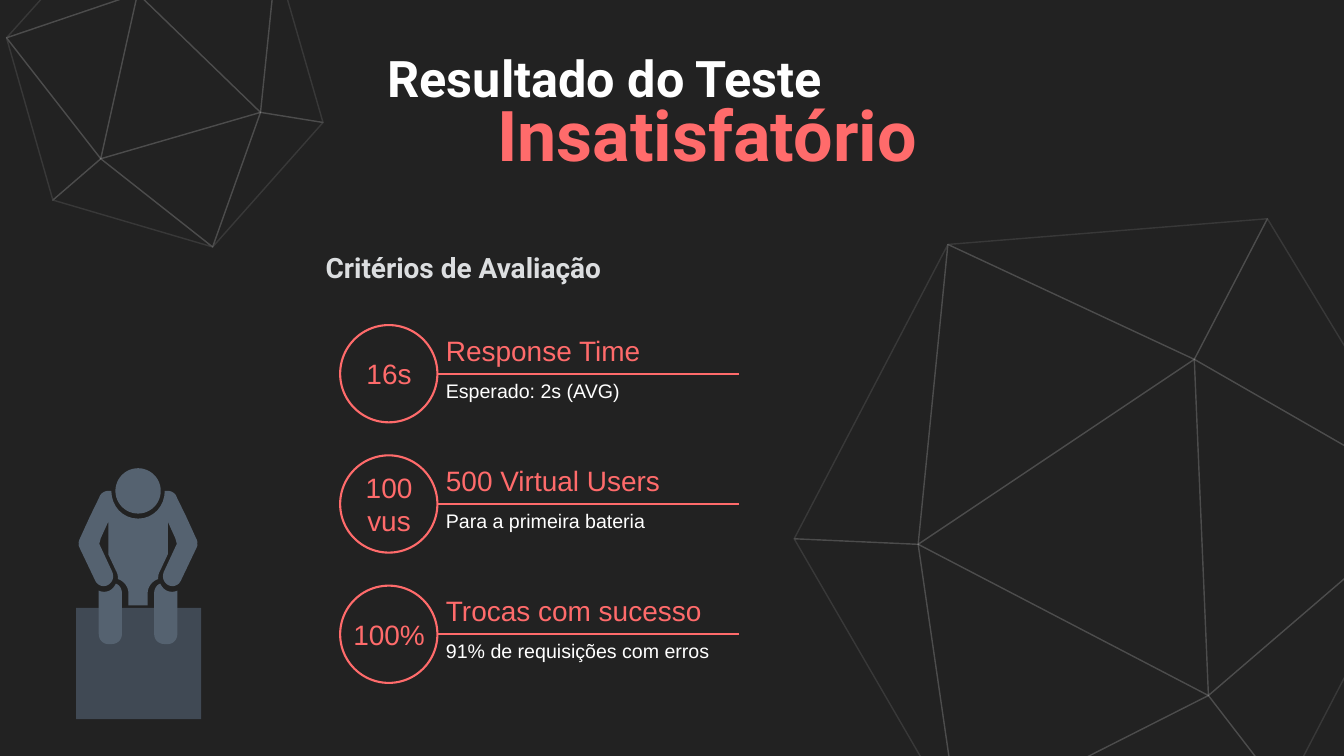
from lxml.etree import SubElement
from pptx import Presentation
from pptx.dml.color import RGBColor
from pptx.enum.shapes import MSO_CONNECTOR, MSO_SHAPE
from pptx.enum.text import MSO_ANCHOR, PP_ALIGN
from pptx.oxml.ns import qn
from pptx.util import Inches, Pt

BACKGROUND = RGBColor(0x22, 0x22, 0x22)
WHITE = RGBColor(0xFF, 0xFF, 0xFF)
CORAL = RGBColor(0xFF, 0x6B, 0x6B)
SILVER = RGBColor(0xDC, 0xDE, 0xE0)
BODY_BLUE = RGBColor(0x55, 0x62, 0x70)
SEAT_BLUE = RGBColor(0x40, 0x49, 0x54)

# Both meshes share these triangles over nine vertices, a to i
TRIANGLES = ("abc", "bda", "bec", "dfa", "egc", "ach", "afh", "cgh", "hig", "hif")
LARGE_MESH = dict(a=(8.22, 9.46), b=(3.26, 11.97), c=(2.46, 6.46), d=(9.72, 11.41),
                  e=(0, 6.35), f=(12.76, 5.56), g=(3.05, 0.51), h=(7.94, 2.79), i=(9.39, 0))
SMALL_MESH = dict(a=(5.04, 3.89), b=(4.09, 6.56), c=(1.87, 4.81), d=(6.28, 4.09),
                  e=(0.92, 5.63), f=(5.35, 0.87), g=(0, 2.41), h=(2.6, 1.53), i=(2.16, 0))

# Right half of the sitting figure, measured from its axis and top.
# Two numbers are a corner, six are a cubic curve.
HALF_TORSO = [
    (0.19, 2.72), (0.19, 2.48), (0.19, 2.35, 0.29, 2.23, 0.4, 2.2),
    (0.4, 2.14, 0.4, 2.1, 0.44, 2.03), (0.59, 1.71), (0.59, 1.06), (0.74, 1.39),
    (0.77, 1.5), (0.51, 2.06), (0.47, 2.17, 0.51, 2.27, 0.6, 2.32),
    (0.7, 2.37, 0.81, 2.32, 0.85, 2.23), (1.16, 1.58),
    (1.17, 1.55, 1.19, 1.52, 1.17, 1.5), (1.19, 1.48, 1.17, 1.45, 1.17, 1.43),
    (0.96, 0.97), (0.77, 0.58), (0.75, 0.51, 0.68, 0.45, 0.59, 0.45),
    (0.53, 0.45), (0.53, 0.75, 0.31, 1, 0, 1)]
LEG = [
    (0.57, 2.43), (0.51, 2.4, 0.47, 2.35, 0.44, 2.29), (0.36, 2.32, 0.32, 2.4, 0.32, 2.48),
    (0.32, 3.29), (0.32, 3.4, 0.4, 3.49, 0.53, 3.49), (0.59, 3.49),
    (0.7, 3.49, 0.78, 3.4, 0.78, 3.29), (0.78, 2.48), (0.78, 2.43),
    (0.71, 2.46, 0.64, 2.46, 0.57, 2.43)]

CRITERIA = [
    ("16s", "Response Time", "Esperado: 2s (AVG)", 4.97),
    ("100\vvus", "500 Virtual Users", "Para a primeira bateria", 4.97),
    ("100%", "Trocas com sucesso", "91% de requisições com erros", 6.05)]


def add_outline(shapes, left, top, points):
    corners = [(Inches(left + x), Inches(top + y)) for x, y in points]
    builder = shapes.build_freeform(*corners[0])
    builder.add_line_segments(corners[1:], close=True)
    shape = builder.convert_to_shape()
    shape.shadow.inherit = False
    return shape


def paint(shape, color):
    shape.shadow.inherit = False
    shape.fill.solid()
    shape.fill.fore_color.rgb = color
    shape.line.fill.background()


def flatten(path, steps=8):
    """Turn corners and cubic curves into a list of points."""
    points = []
    for piece in path:
        if len(piece) == 2:
            points.append(piece)
            continue
        controls = [points[-1], piece[:2], piece[2:4], piece[4:]]
        for step in range(1, steps + 1):
            t = step / steps
            weights = ((1 - t) ** 3, 3 * t * (1 - t) ** 2, 3 * t * t * (1 - t), t ** 3)
            points.append(tuple(sum(w * p[axis] for w, p in zip(weights, controls))
                                for axis in (0, 1)))
    return points


def mirror(points):
    return [(-x, y) for x, y in reversed(points)]


def write(box, lines, align=PP_ALIGN.LEFT, anchor=MSO_ANCHOR.TOP, spacing=0.9, before=0):
    """Fill a box with lines of (text, size, font, color, bold)."""
    frame = box.text_frame
    frame.word_wrap = True
    frame.vertical_anchor = anchor
    frame.margin_left = frame.margin_right = Inches(0.1)
    frame.margin_top = frame.margin_bottom = Inches(0.1)
    for index, (text, size, font, color, bold) in enumerate(lines):
        para = frame.add_paragraph() if index else frame.paragraphs[0]
        para.text = text
        para.alignment = align
        para.line_spacing = spacing
        para.space_before = Pt(before)
        for span in para.runs:
            span.font.size, span.font.name, span.font.bold = Pt(size), font, bold
            span.font.color.rgb = color


def add_box(shapes, left, top, width, height):
    return shapes.add_textbox(Inches(left), Inches(top), Inches(width), Inches(height))


def add_mesh(page, left, top, vertices, triangles):
    shapes = page.shapes.add_group_shape().shapes
    for names in triangles:
        triangle = add_outline(shapes, left, top, [vertices[name] for name in names])
        triangle.fill.background()
        triangle.line.width = Pt(2)
        triangle.line.color.rgb = WHITE
        for color in triangle._element.xpath(".//a:ln//a:srgbClr"):
            SubElement(color, qn("a:alpha")).set("val", "10000")


def add_headings(page):
    title = page.shapes.title
    title.left, title.top = Inches(0.04), Inches(0.97)
    title.width, title.height = Inches(23.93), Inches(1.39)
    write(title, [("Resultado do Teste", 72, "Roboto", WHITE, True)], PP_ALIGN.CENTER)
    write(add_box(page.shapes, -5.38, 1.9, 38.82, 1.87),
          [("Insatisfatório", 100, "Roboto", CORAL, True)], PP_ALIGN.CENTER)
    write(add_box(page.shapes, -2.77, 4.94, 23.93, 0.87),
          [("Critérios de Avaliação", 40, "Roboto", SILVER, True)], PP_ALIGN.CENTER)


def add_sitting_figure(page, left, top):
    shapes = page.shapes.add_group_shape().shapes
    axis = left + 1.23
    seat = shapes.add_shape(MSO_SHAPE.RECTANGLE, Inches(left), Inches(top + 2.77),
                            Inches(2.48), Inches(2.21))
    paint(seat, SEAT_BLUE)
    head = shapes.add_shape(MSO_SHAPE.OVAL, Inches(axis - 0.45), Inches(top),
                            Inches(0.9), Inches(0.9))
    paint(head, BODY_BLUE)
    torso, leg = flatten(HALF_TORSO), flatten(LEG)
    for points in (leg, mirror(leg), torso + mirror(torso)):
        paint(add_outline(shapes, axis, top, points), BODY_BLUE)


def add_criterion(page, left, top, value, name, detail, detail_width):
    shapes = page.shapes.add_group_shape().shapes
    size = 1.93
    middle = top + size / 2
    # Ring
    ring = shapes.add_shape(MSO_SHAPE.OVAL, Inches(left), Inches(top), Inches(size), Inches(size))
    ring.shadow.inherit = False
    ring.fill.background()
    ring.line.color.rgb = CORAL
    ring.line.width = Pt(3)
    # Measured value
    height = 0.87 + 0.66 * value.count("\v")
    write(add_box(shapes, left - 0.76, middle - height / 2, 3.46, height),
          [(value, 40, "Arial", CORAL, False)], PP_ALIGN.CENTER, MSO_ANCHOR.MIDDLE, spacing=1)
    # Rule from the ring to the right
    rule = shapes.add_connector(MSO_CONNECTOR.STRAIGHT, Inches(left + 7.91), Inches(middle),
                                Inches(left + size), Inches(middle))
    rule.line.color.rgb = CORAL
    rule.line.width = Pt(3)
    SubElement(rule._element.spPr, qn("a:effectLst"))
    # Name and detail
    write(add_box(shapes, left + 2, top + 0.14, detail_width, 1.55),
          [(name, 40, "Arial", CORAL, False), (detail, 28, "Arial", WHITE, False)], before=20)


def main():
    deck = Presentation()
    deck.slide_width, deck.slide_height = Inches(26.67), Inches(15)
    page = deck.slides.add_slide(deck.slide_layouts[5])
    page.background.fill.solid()
    page.background.fill.fore_color.rgb = BACKGROUND
    add_mesh(page, 15.76, 4.34, LARGE_MESH, TRIANGLES)
    add_mesh(page, 0.13, -1.66, SMALL_MESH, TRIANGLES[:-1])
    add_headings(page)
    add_sitting_figure(page, 1.51, 9.29)
    for row, criterion in enumerate(CRITERIA):
        add_criterion(page, 6.75, 6.45 + 2.585 * row, *criterion)
    deck.save("out.pptx")


if __name__ == "__main__":
    main()
